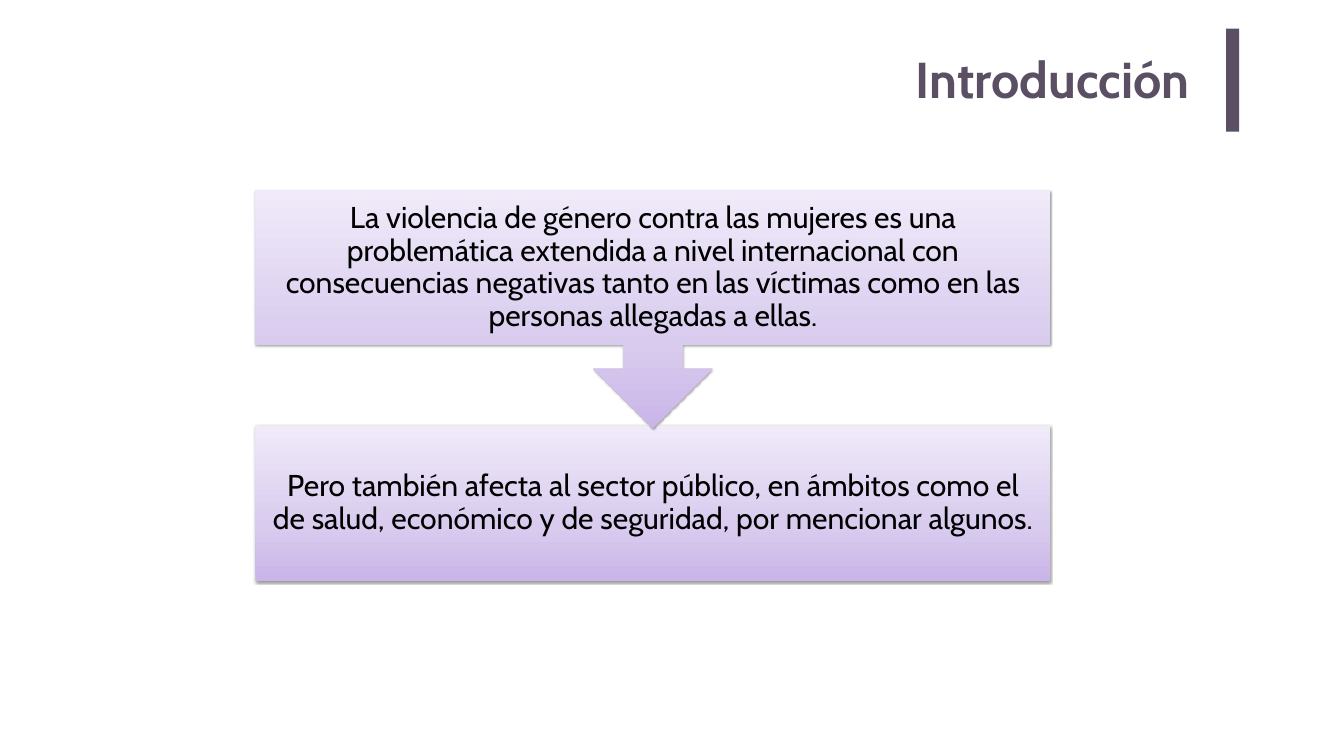
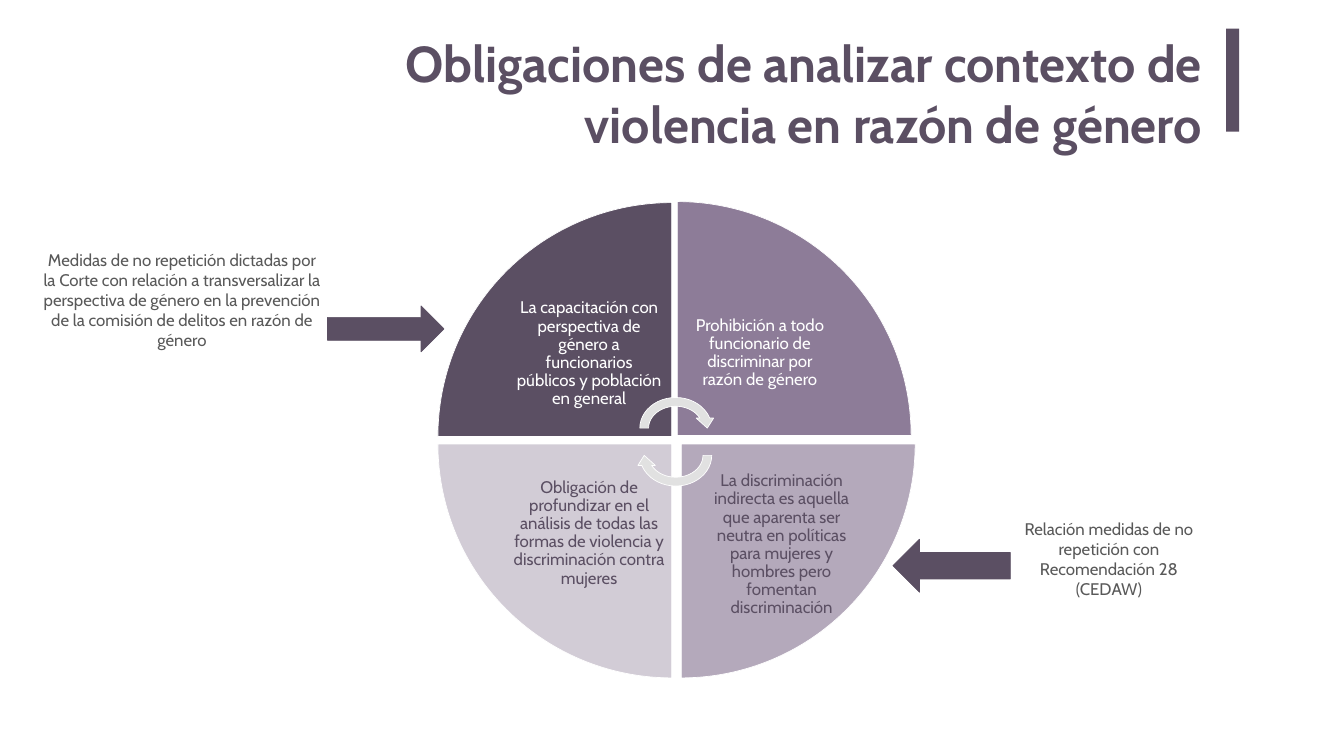
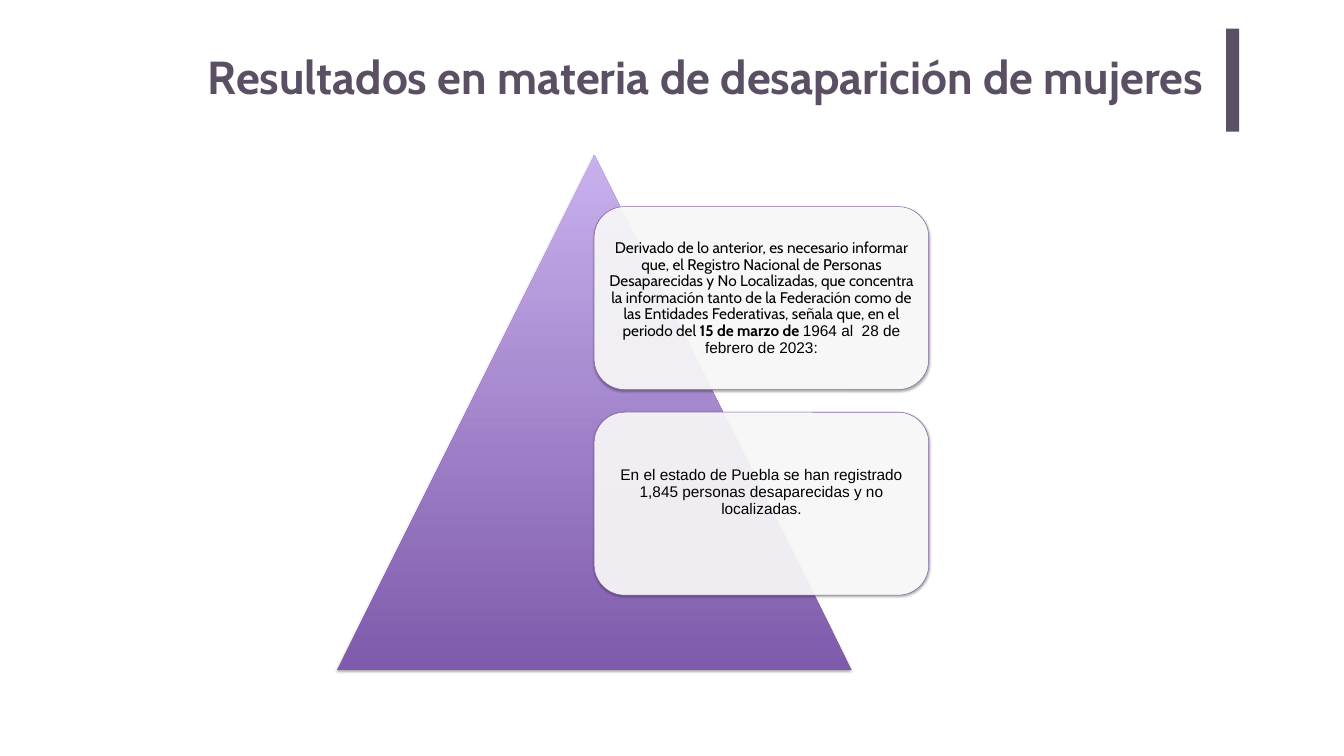
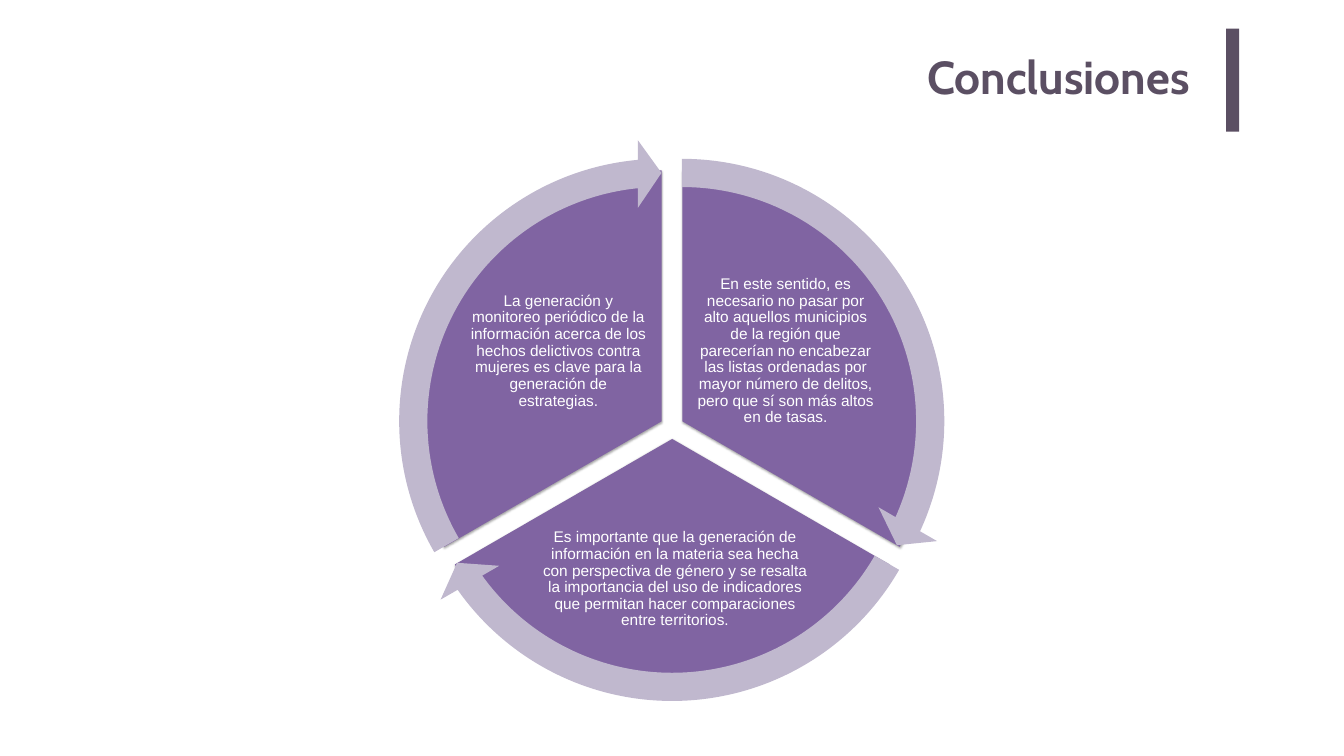
import copy
from lxml import etree
from pptx import Presentation
from pptx import util as u
from pptx.dml.color import RGBColor
from pptx.enum import shapes, text
from pptx.oxml import ns


class Theme:
    plum = "5B4F63"
    mauve = "8D7C98"
    lilac = "B4A9BB"
    mist = "D2CCD6"
    violet = "8064A2"
    ring = "C0B8CE"
    swirl = "E1E1E1"
    gray = "595959"
    white = "FFFFFF"
    black = "000000"
    pale = [(0, "C9B5E8"), (0.35, "D8CBEE"), (1, "F0EAF9")]
    deep = [(0, "7F5BAB"), (1, "C8B0ED")]
    font = "Cabin"
    plain = "Arial"
    head = 72
    lower = 66
    large = 43
    body = 24
    small = 22


T = Theme
Kind = shapes.MSO_SHAPE
Align = text.PP_ALIGN


def draw(page, kind, box, fill, line=None, width=1, turn=0, shade=None, alpha=None, adjust=()):
    item = page.shapes.add_shape(kind, *map(u.Inches, box))
    item.rotation = turn
    for i, value in enumerate(adjust):
        item.adjustments[i] = value
    props = item._element.spPr
    if isinstance(fill, list):
        item.fill.gradient()
        item.fill.gradient_angle = 90
        props.find(ns.qn("a:gradFill")).set("rotWithShape", "0")
        stops = props.find(".//" + ns.qn("a:gsLst"))
        while len(stops) < len(fill):
            stops.append(copy.deepcopy(stops[-1]))
        for stop, (place, tone) in zip(item.fill.gradient_stops, fill):
            stop.position = place
            stop.color.rgb = RGBColor.from_string(tone)
    else:
        item.fill.solid()
        item.fill.fore_color.rgb = RGBColor.from_string(fill)
        if alpha:
            tone = props.find(".//" + ns.qn("a:srgbClr"))
            etree.SubElement(tone, ns.qn("a:alpha"), val=str(alpha * 1000))
    if line:
        item.line.color.rgb = RGBColor.from_string(line)
        item.line.width = u.Pt(width)
    else:
        item.line.fill.background()
    item.shadow.inherit = False
    if shade:
        glow = etree.SubElement(
            props.find(ns.qn("a:effectLst")), ns.qn("a:outerShdw"),
            blurRad=str(u.Pt(3.1)), dist=str(u.Pt(1.7)), dir="5400000", rotWithShape="0")
        tone = etree.SubElement(glow, ns.qn("a:srgbClr"), val=T.black)
        etree.SubElement(tone, ns.qn("a:alpha"), val=str(shade * 1000))


def write(page, box, runs, size, color, font=T.font, inset=(0.1, 0.05, 0.1, 0.05),
          align=Align.CENTER, middle=True, space=0.9):
    frame = page.shapes.add_textbox(*map(u.Inches, box)).text_frame
    frame.word_wrap = True
    frame.margin_left, frame.margin_top, frame.margin_right, frame.margin_bottom = map(u.Inches, inset)
    frame.vertical_anchor = text.MSO_ANCHOR.MIDDLE if middle else text.MSO_ANCHOR.TOP
    para = frame.paragraphs[0]
    para.alignment = align
    para.line_spacing = space
    for words, bold, face in [(runs, False, font)] if isinstance(runs, str) else runs:
        run = para.add_run()
        run.text = words
        run.font.name = face
        run.font.size = u.Pt(size)
        run.font.bold = bold
        run.font.color.rgb = RGBColor.from_string(color)


deck = Presentation()
deck.slide_width = u.Inches(26.67)
deck.slide_height = u.Inches(15)

heads = [
    ("Introducción", (15.53, 0.86, 8.27, 1.46), T.head),
    ("Obligaciones de analizar contexto de violencia en razón de género", (7.66, 0.54, 16.39, 1.46), T.head),
    ("Resultados en materia de desaparición de mujeres", (2.59, 0.86, 21.48, 2.04), T.lower),
    ("Conclusiones", (2.33, 0.86, 21.48, 2.04), T.lower),
]
pages = []
for words, box, size in heads:
    page = deck.slides.add_slide(deck.slide_layouts[6])
    draw(page, Kind.RECTANGLE, (24.33, 0.57, 0.26, 2.04), T.plum)
    write(page, box, [(words, True, T.font)], size, T.plum, inset=(0.2, 0.1, 0.2, 0.1),
          align=Align.RIGHT, middle=False, space=1)
    pages.append(page)
intro, duties, results, closing = pages

steps = [
    (Kind.RECTANGLE, 8.45, 3.08, 0,
     "Pero también afecta al sector público, en ámbitos como el de salud, económico y de seguridad, por mencionar algunos."),
    (Kind.UP_ARROW_CALLOUT, 3.77, 4.73, 180,
     "La violencia de género contra las mujeres es una problemática extendida a nivel internacional con consecuencias negativas tanto en las víctimas como en las personas allegadas a ellas."),
]
for kind, top, high, turn, words in steps:
    draw(intro, kind, (5.07, top, 15.77, high), T.pale, turn=turn, shade=38)
    write(intro, (5.07, top, 15.77, 3.08), words, T.large, T.black, inset=(0.33,) * 4)

wedge, label = 4.64, 3.28
parts = [
    (8.69, 4.02, T.plum, T.white, 0.19, 0.19, 0,
     "La capacitación con perspectiva de género a funcionarios públicos y población en general"),
    (13.44, 4, T.mauve, T.white, 0.19, 0.19, 0,
     "Prohibición a todo funcionario de discriminar por razón de género"),
    (13.52, 8.81, T.lilac, T.plum, 0.09, 0.81, 0.35,
     "La discriminación indirecta es aquella que aparenta ser neutra en políticas para mujeres y hombres pero fomentan discriminación"),
    (8.69, 8.81, T.mist, T.plum, 0.09, 0.35, 0,
     "Obligación de profundizar en el análisis de todas las formas de violencia y discriminación contra mujeres"),
]
for i, (left, top, fill, ink, pad, drop, shift, words) in enumerate(parts):
    draw(duties, Kind.PIE_WEDGE, (left, top, wedge, wedge), fill, T.white, turn=90 * i)
    near = left + shift + (wedge - label if i in (0, 3) else 0)
    high = top + (wedge - label if i < 2 else 0)
    write(duties, (near, high, label, label), words, T.body, ink, inset=(pad, drop, pad, pad))
for top, turn in [(7.8, 0), (8.34, 180)]:
    draw(duties, Kind.CIRCULAR_ARROW, (12.61, top, 1.6, 1.39), T.swirl, T.white, turn=turn)

notes = [
    ((0.72, 4.9, 5.78, 2.52), (7.2, 5.37, 0.91, 2.31), 270,
     "Medidas de no repetición dictadas por la Corte con relación a transversalizar la perspectiva de género en la prevención de la comisión de delitos en razón de género"),
    ((19.86, 10.24, 4.29, 1.72), (18.36, 10.06, 1.05, 2.33), 90,
     "Relación medidas de no repetición con Recomendación 28 (CEDAW)"),
]
for box, arrow, turn, words in notes:
    write(duties, box, words, T.body, T.gray, middle=False, space=1)
    draw(duties, Kind.DOWN_ARROW, arrow, T.plum, T.plum, turn=turn)

draw(results, Kind.ISOSCELES_TRIANGLE, (6.69, 3.08, 10.21, 10.21), T.deep, shade=35)
cards = [
    (4.1, 0.09, [
        ("Derivado de lo anterior, es necesario informar que, el Registro Nacional de Personas Desaparecidas y No Localizadas, que concentra la información tanto de la Federación como de las Entidades Federativas, señala que, en el periodo del ", False, T.font),
        ("15 de marzo de ", True, T.font),
        ("1964 al  28 de febrero de 2023:", False, T.plain)]),
    (8.18, 0.55, [
        ("En el estado de Puebla se han registrado 1,845 personas desaparecidas y no localizadas.", False, T.plain)]),
]
for top, base, runs in cards:
    draw(results, Kind.ROUNDED_RECTANGLE, (11.79, top, 6.64, 3.63), T.white, T.violet, 0.75,
         shade=35, alpha=90)
    write(results, (11.97, top + 0.18, 6.28, 3.28), runs, T.small, T.black,
          inset=(0.09, 0.09, 0.09, base))

thirds = [
    (8.56, 3.38, (162, 18), (14.73, 161.99), (13.81, 5.49, 3.56, 2.96),
     "En este sentido, es necesario no pasar por alto aquellos municipios de la región que parecerían no encabezar las listas ordenadas por mayor número de delitos, pero que sí son más altos en de tasas."),
    (8.36, 3.73, (18, 90), (86.72, 18), (10.73, 10.19, 5.33, 2.61),
     "Es importante que la generación de información en la materia sea hecha con perspectiva de género y se resalta la importancia del uso de indicadores que permitan hacer comparaciones entre territorios."),
    (8.15, 3.38, (90, 162), (158.73, 90), (9.3, 5.49, 3.56, 2.96),
     "La generación y monitoreo periódico de la información acerca de los hechos delictivos contra mujeres es clave para la generación de estrategias."),
]
for left, top, span, sweep, box, words in thirds:
    draw(closing, Kind.PIE, (left, top, 9.96, 9.96), T.violet, shade=35, adjust=span)
    write(closing, box, words, T.small, T.white, T.plain, inset=(0.03,) * 4)
for left, top, span, sweep, box, words in thirds:
    draw(closing, Kind.CIRCULAR_ARROW, (left - 0.62, top - 0.62, 11.19, 11.19), T.ring,
         adjust=(0.05, 3.28, *sweep, 0.06))

deck.save("out.pptx")
